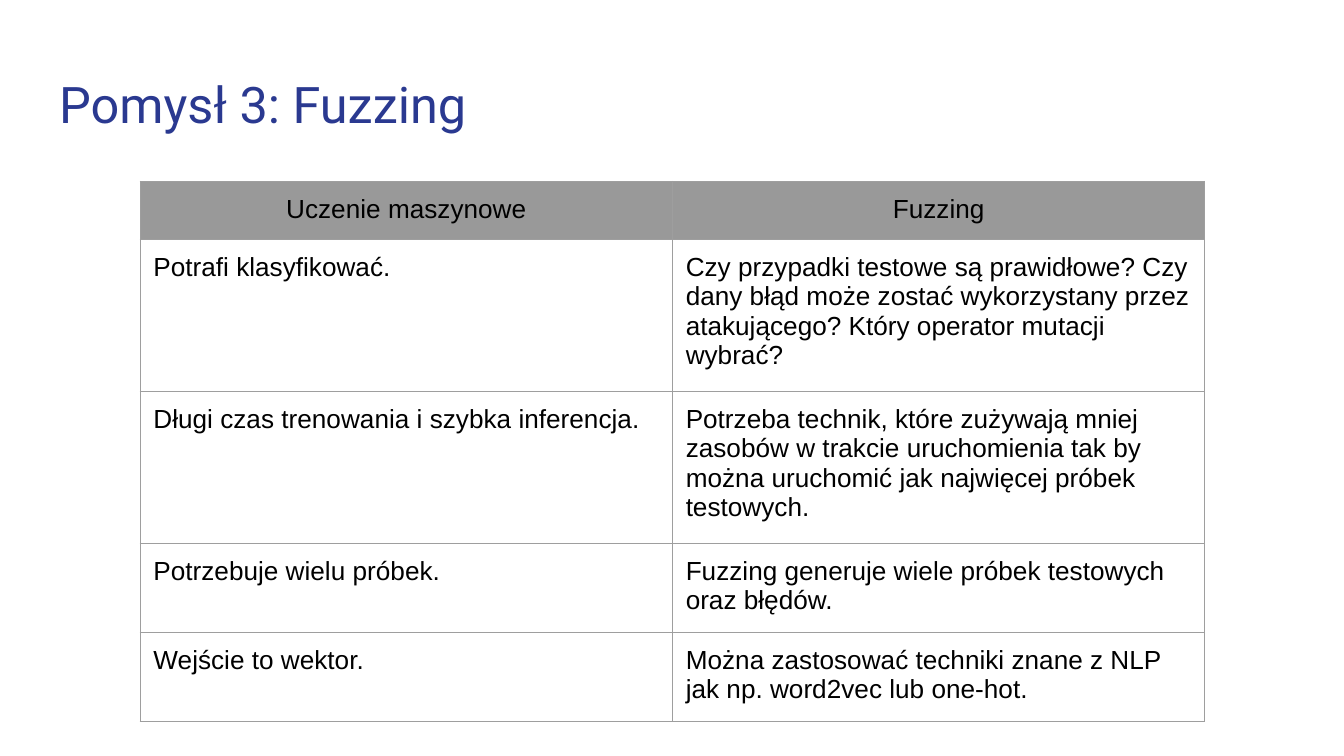
from dataclasses import dataclass

from lxml.etree import SubElement
from pptx import Presentation
from pptx.dml.color import RGBColor
from pptx.enum.text import MSO_ANCHOR, PP_ALIGN
from pptx.oxml.ns import qn
from pptx.util import Cm, Pt


@dataclass(frozen=True)
class Theme:
    title_font: str = "Roboto"
    body_font: str = "Arial"
    title_size: float = 27
    body_size: float = 14
    title_color: str = "2A3990"
    body_color: str = "000000"
    header_fill: str = "999999"
    border_color: str = "9E9E9E"
    border_width: float = 0.75


THEME = Theme()
INSET = Cm(0.25)
COLUMN_WIDTH = Cm(10.06)
ROW_HEIGHT = Cm(1.07)  # rows grow with their text

HEADINGS = ("Uczenie maszynowe", "Fuzzing")
COMPARISONS = (
    ("Potrafi klasyfikować.",
     "Czy przypadki testowe są prawidłowe? Czy dany błąd może zostać wykorzystany przez\n"
     "atakującego? Który operator mutacji wybrać?"),
    ("Długi czas trenowania i szybka inferencja.",
     "Potrzeba technik, które zużywają mniej zasobów w trakcie uruchomienia "
     "tak by można uruchomić jak najwięcej próbek testowych."),
    ("Potrzebuje wielu próbek.",
     "Fuzzing generuje wiele próbek testowych oraz błędów."),
    ("Wejście to wektor.",
     "Można zastosować techniki znane z NLP jak np. word2vec lub one-hot."),
)


def set_insets(target):
    target.margin_left = target.margin_right = INSET
    target.margin_top = target.margin_bottom = INSET


def write_text(frame, text, font_name, size, color, alignment=PP_ALIGN.LEFT):
    frame.text = text
    for paragraph in frame.paragraphs:
        paragraph.alignment = alignment
        paragraph.font.name = font_name
        paragraph.font.size = Pt(size)
        paragraph.font.color.rgb = RGBColor.from_string(color)


def add_title(slide, text):
    title = slide.shapes.add_textbox(Cm(0.87), Cm(1.14), Cm(23.67), Cm(1.68))
    frame = title.text_frame
    frame.word_wrap = True
    frame.vertical_anchor = MSO_ANCHOR.TOP
    set_insets(frame)
    write_text(frame, text, THEME.title_font, THEME.title_size, THEME.title_color)


def draw_borders(cell):
    """Outline all four sides; the lines must precede the fill in tcPr."""
    properties = cell._tc.get_or_add_tcPr()
    for position, side in enumerate(("lnL", "lnR", "lnT", "lnB")):
        line = SubElement(properties, qn(f"a:{side}"), w=str(Pt(THEME.border_width)))
        fill = SubElement(line, qn("a:solidFill"))
        SubElement(fill, qn("a:srgbClr"), val=THEME.border_color)
        properties.insert(position, line)


def fill_cell(cell, text, is_heading):
    set_insets(cell)
    if is_heading:
        cell.fill.solid()
        cell.fill.fore_color.rgb = RGBColor.from_string(THEME.header_fill)
    else:
        cell.fill.background()
    draw_borders(cell)
    write_text(cell.text_frame, text, THEME.body_font, THEME.body_size, THEME.body_color,
               PP_ALIGN.CENTER if is_heading else PP_ALIGN.LEFT)


def add_comparison(slide, headings, comparisons):
    rows = (headings, *comparisons)
    table = slide.shapes.add_table(
        len(rows), len(headings), Cm(2.65), Cm(3.43),
        COLUMN_WIDTH * len(headings), ROW_HEIGHT * len(rows)).table
    table.first_row = table.horz_banding = False
    for row_index, row in enumerate(rows):
        for column_index, text in enumerate(row):
            fill_cell(table.cell(row_index, column_index), text, row_index == 0)


def main():
    presentation = Presentation()
    presentation.slide_width = Cm(25.4)
    presentation.slide_height = Cm(14.29)
    slide = presentation.slides.add_slide(presentation.slide_layouts[6])
    add_title(slide, "Pomysł 3: Fuzzing")
    add_comparison(slide, HEADINGS, COMPARISONS)
    presentation.save("out.pptx")


if __name__ == "__main__":
    main()
